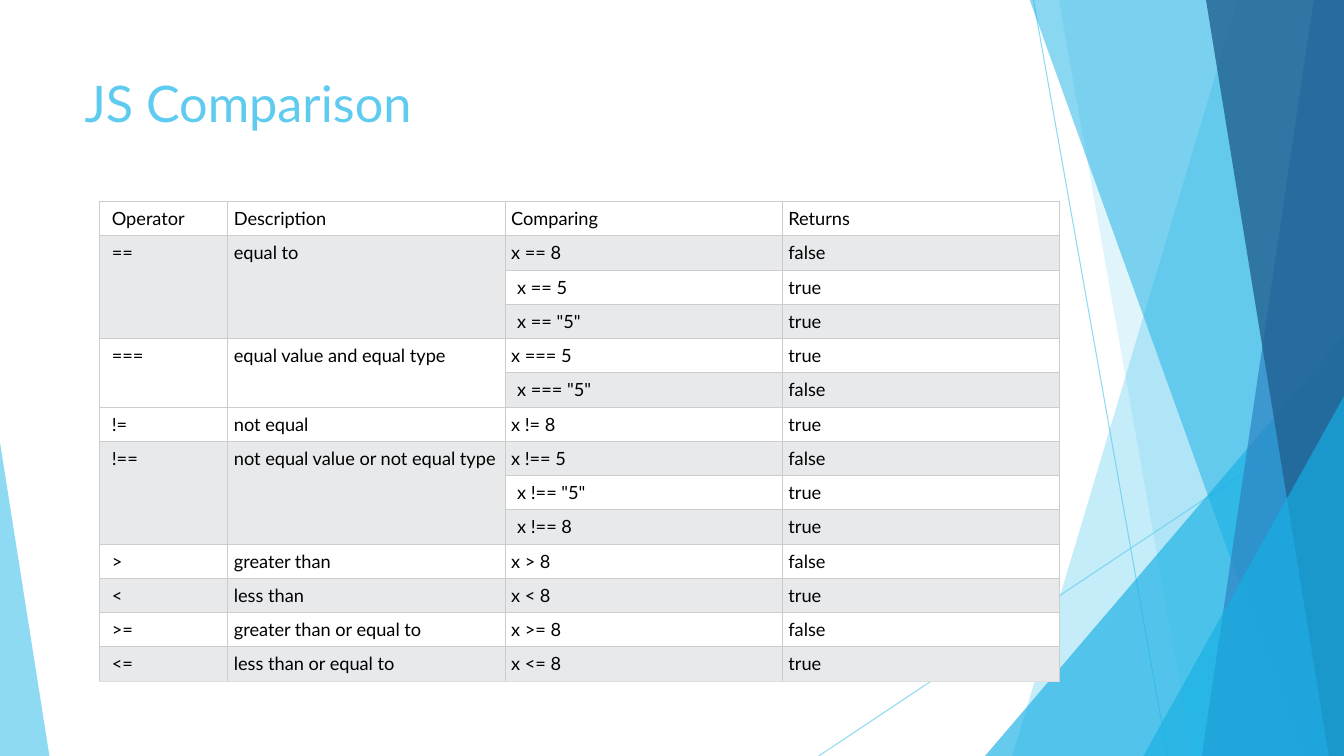
from pptx import Presentation
from pptx.dml.color import RGBColor
from pptx.enum.shapes import MSO_CONNECTOR, MSO_SHAPE
from pptx.enum.text import MSO_ANCHOR
from pptx.oxml.ns import qn
from pptx.util import Inches, Pt
from lxml.etree import SubElement

WIDTH, HEIGHT = 13.33, 7.5
SKY, AZURE, BLUE, NAVY = "5FCBEF", "17B0E4", "2E83C3", "226292"
WHITE, GREY, BLACK = "FFFFFF", "E7E9EB", "000000"
GRID, GRID_END = "CCCCCC", "DDDDDD"


def rgb(value):
    """Turn a hex string into a colour."""
    return RGBColor.from_string(value)


def set_alpha(shape, percent):
    """Make every colour of a shape partly transparent."""
    for clr in shape._element.spPr.iter(qn("a:srgbClr")):
        SubElement(clr, qn("a:alpha"), val=str(percent * 1000))


def set_borders(cell, bottom):
    """Draw thin lines on all four sides of a cell."""
    tcPr = cell._tc.get_or_add_tcPr()
    for side, color in (("L", GRID), ("R", GRID), ("T", GRID), ("B", bottom)):
        ln = SubElement(tcPr, qn(f"a:ln{side}"), w=str(Pt(0.75)))
        SubElement(SubElement(ln, qn("a:solidFill")), qn("a:srgbClr"), val=color)


class Deck:
    """Holds the style and the current slide."""

    font = "Lato"

    def __init__(self):
        """Open a presentation with one blank slide."""
        self.prs = Presentation()
        self.prs.slide_width, self.prs.slide_height = Inches(WIDTH), Inches(HEIGHT)
        self.s = self.prs.slides.add_slide(self.prs.slide_layouts[6])

    def style(self, p, size, color):
        """Set the font of a paragraph."""
        p.font.name, p.font.size = self.font, Pt(size)
        p.font.color.rgb = rgb(color)

    def paint(self, sp, color, alpha):
        """Give a shape a flat transparent fill without outline."""
        sp.shadow.inherit = False
        sp.fill.solid()
        sp.fill.fore_color.rgb = rgb(color)
        sp.line.fill.background()
        set_alpha(sp, alpha)

    def line(self, x1, y1, x2, y2):
        """Add a thin pale line."""
        cx = self.s.shapes.add_connector(
            MSO_CONNECTOR.STRAIGHT, Inches(x1), Inches(y1), Inches(x2), Inches(y2))
        cx.line.color.rgb = rgb(SKY)
        cx.line.width = Pt(0.75)
        set_alpha(cx, 70)
        SubElement(cx._element.spPr, qn("a:effectLst"))

    def band(self, top_x, bottom_x, color, alpha):
        """Add a full-height band from a slanted left edge to the slide's right edge."""
        top = -0.01
        fb = self.s.shapes.build_freeform(Inches(top_x), Inches(top))
        corners = ((WIDTH, top), (WIDTH, HEIGHT), (bottom_x, HEIGHT))
        fb.add_line_segments([(Inches(x), Inches(y)) for x, y in corners])
        self.paint(fb.convert_to_shape(), color, alpha)

    def triangle(self, left, top, width, apex, color, alpha):
        """Add a triangle that stands on the slide's bottom edge."""
        sp = self.s.shapes.add_shape(
            MSO_SHAPE.ISOSCELES_TRIANGLE,
            Inches(left), Inches(top), Inches(width), Inches(HEIGHT - top))
        sp.adjustments[0] = apex
        self.paint(sp, color, alpha)

    def title(self, text, left, top, width, height):
        """Add the slide title."""
        tf = self.s.shapes.add_textbox(
            Inches(left), Inches(top), Inches(width), Inches(height)).text_frame
        tf.word_wrap = True
        tf.vertical_anchor = MSO_ANCHOR.TOP
        tf.text = text
        self.style(tf.paragraphs[0], 36, SKY)

    def cell(self, cell, text, fill, indent, bottom):
        """Fill in and format one table cell."""
        cell.margin_left = Inches(0.12 if indent else 0.06)
        cell.margin_right = cell.margin_top = cell.margin_bottom = Inches(0.06)
        cell.text = text
        self.style(cell.text_frame.paragraphs[0], 13, BLACK)
        set_borders(cell, bottom)
        cell.fill.solid()
        cell.fill.fore_color.rgb = rgb(fill)

    def table(self, groups, left, top, widths, row_height):
        """Add a table whose first two columns span the rows of each group."""
        count = sum(len(tests) for _, _, tests in groups)
        table = self.s.shapes.add_table(
            count, len(widths), Inches(left), Inches(top),
            Inches(sum(widths)), Inches(row_height * count)).table
        table.first_row = table.horz_banding = False
        for col, width in zip(table.columns, widths):
            col.width = Inches(width)
        for row in table.rows:
            row.height = Inches(row_height)
        first = 0
        for operator, description, tests in groups:
            for i, test in enumerate(tests):
                row = first + i
                texts = (operator, description) if i == 0 else ("", "")
                bottom = GRID_END if row == count - 1 else GRID
                for c, text in enumerate(texts + test):
                    band = first if c < 2 else row
                    indent = c == 0 or (c == 2 and i > 0)
                    self.cell(table.cell(row, c), text,
                              GREY if band % 2 else WHITE, indent, bottom)
            last = first + len(tests) - 1
            if last > first:
                for c in range(2):
                    table.cell(first, c).merge(table.cell(last, c))
            first = last + 1


COMPARISONS = [
    ("Operator", "Description", [("Comparing", "Returns")]),
    ("==", "equal to",
     [("x == 8", "false"), ("x == 5", "true"), ('x == "5"', "true")]),
    ("===", "equal value and equal type",
     [("x === 5", "true"), ('x === "5"', "false")]),
    ("!=", "not equal", [("x != 8", "true")]),
    ("!==", "not equal value or not equal type",
     [("x !== 5", "false"), ('x !== "5"', "true"), ("x !== 8", "true")]),
    (">", "greater than", [("x > 8", "false")]),
    ("<", "less than", [("x < 8", "true")]),
    (">=", "greater than or equal to", [("x >= 8", "false")]),
    ("<=", "less than or equal to", [("x <= 8", "true")]),
]

deck = Deck()
deck.line(10.25, 0, 11.58, HEIGHT)
deck.line(WIDTH, 4.03, 8.12, HEIGHT)
deck.band(12.28, 10.04, SKY, 36)
deck.band(10.5, 11.83, SKY, 20)
deck.triangle(9.77, 3.33, 3.56, 1, AZURE, 66)
deck.band(10.21, 12.91, AZURE, 50)
deck.band(13.03, 11.92, BLUE, 70)
deck.band(11.96, 13.18, NAVY, 80)
deck.triangle(11.34, 3.93, 1.99, 1, AZURE, 66)
deck.triangle(0, 4.39, 0.49, 0, SKY, 70)
deck.title("JS Comparison", 0.74, 0.67, 9.4, 1.44)
deck.table(COMPARISONS, 0.99, 2, [1.27, 2.75, 2.75, 2.75], 0.34)
deck.prs.save("out.pptx")
